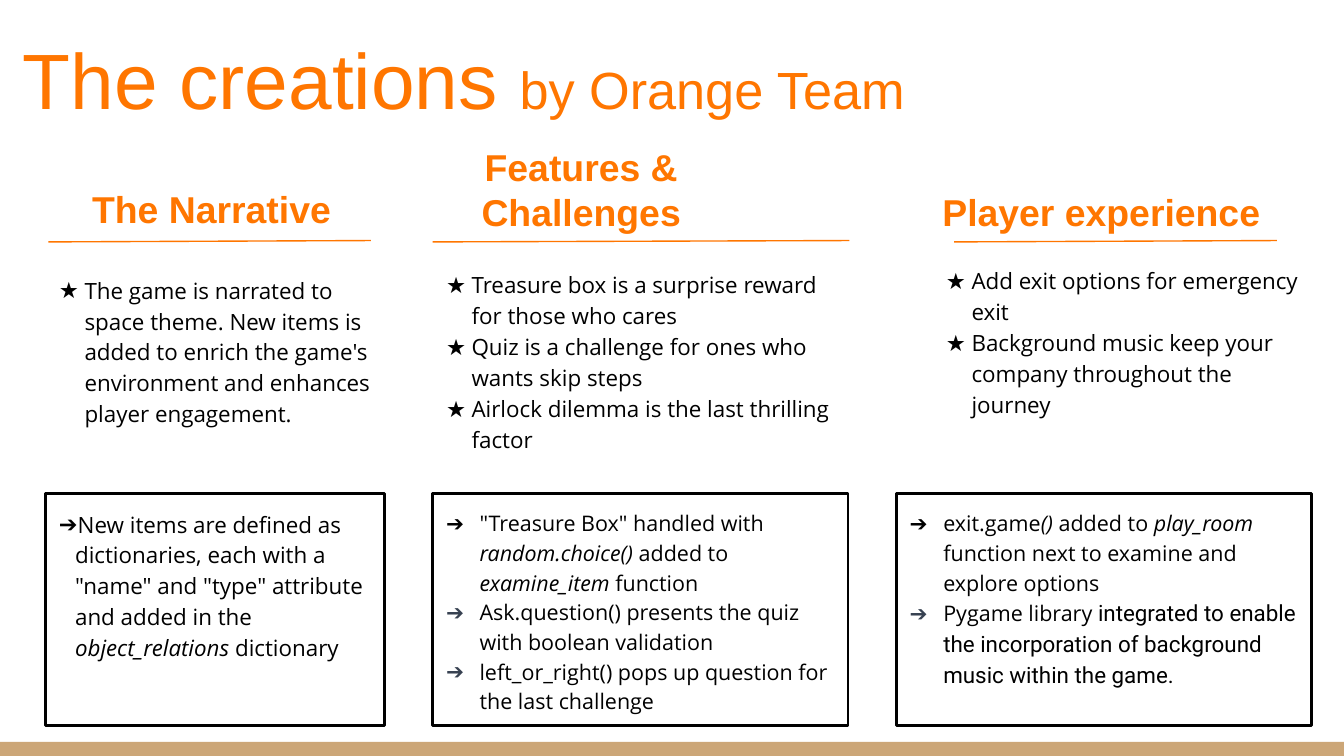
from lxml import etree
from pptx import Presentation
from pptx.dml.color import RGBColor
from pptx.enum import shapes, text
from pptx.oxml.ns import qn
from pptx.util import Inches, Pt

ORANGE = RGBColor(0xFF, 0x76, 0x00)
BLACK = RGBColor(0, 0, 0)
WHITE = RGBColor(0xFF, 0xFF, 0xFF)
SLATE = RGBColor(0x37, 0x41, 0x51)
TAN = RGBColor(0xCC, 0xA6, 0x77)
STAR, ARROW = "★", "➔"
IT = {"italic": True}


def add_run(para, words, size=12, font="Open Sans", color=BLACK,
            bold=False, italic=False):
    run = para.add_run()
    run.text = words
    style = run.font
    style.size, style.name = Pt(size), font
    style.bold, style.italic = bold, italic
    style.color.rgb = color


def set_frame(frame, anchor):
    frame.word_wrap = True
    frame.auto_size = text.MSO_AUTO_SIZE.NONE
    frame.vertical_anchor = anchor
    frame.margin_left = frame.margin_right = Inches(0.1)
    frame.margin_top = frame.margin_bottom = Inches(0.1)


def place(shape, box):
    shape.left, shape.top, shape.width, shape.height = map(Inches, box)


def add_title(slide):
    title = slide.shapes.title
    place(title, (0.07, 0.12, 9.32, 0.91))
    set_frame(title.text_frame, text.MSO_ANCHOR.BOTTOM)
    para = title.text_frame.paragraphs[0]
    para.alignment = text.PP_ALIGN.LEFT
    for words, size in (("The creations ", 42), ("by Orange Team", 28)):
        add_run(para, words, size=size, font="Arial", color=ORANGE)


def add_head(slide, words, box):
    head = slide.shapes.add_textbox(*map(Inches, box))
    set_frame(head.text_frame, text.MSO_ANCHOR.BOTTOM)
    para = head.text_frame.paragraphs[0]
    para.alignment = text.PP_ALIGN.CENTER
    add_run(para, words, size=20, font="Arial", color=ORANGE, bold=True)


def add_rule(slide, left, right):
    rule = slide.shapes.add_connector(
        shapes.MSO_CONNECTOR.STRAIGHT,
        Inches(left), Inches(1.8), Inches(right), Inches(1.79))
    rule.line.color.rgb = ORANGE
    rule.line.width = Pt(0.75)
    etree.SubElement(rule._element.spPr, qn("a:effectLst"))


def add_rect(slide, box, fill=None, line=None):
    rect = slide.shapes.add_shape(shapes.MSO_SHAPE.RECTANGLE,
                                  *map(Inches, box))
    rect.shadow.inherit = False
    if fill is None:
        rect.fill.background()
    else:
        rect.fill.solid()
        rect.fill.fore_color.rgb = fill
    if line is None:
        rect.line.fill.background()
    else:
        rect.line.color.rgb = line
        rect.line.width = Pt(1.5)
    return rect


def set_bullet(para, mark, color, margin, indent):
    props = para._p.get_or_add_pPr()
    props.set("marL", str(Inches(margin)))
    props.set("indent", str(Inches(indent)))
    tint = etree.SubElement(props, qn("a:buClr"))
    etree.SubElement(tint, qn("a:srgbClr"), val=str(color))
    etree.SubElement(props, qn("a:buFont"), typeface="Open Sans")
    etree.SubElement(props, qn("a:buChar"), char=mark)


def add_list(slide, box, items, mark, inset, line, size=12, later=BLACK):
    """Add a bulleted box; bullets after the first take the colour later."""
    frame = add_rect(slide, box, line=line).text_frame
    set_frame(frame, text.MSO_ANCHOR.TOP)
    for num, runs in enumerate(items):
        para = frame.add_paragraph() if num else frame.paragraphs[0]
        para.alignment = text.PP_ALIGN.LEFT
        para.line_spacing = 1.15
        set_bullet(para, mark, later if num else BLACK, *inset)
        for words, style in runs:
            add_run(para, words, **{"size": size, **style})


def add_stars(slide, box, items, indent=-0.21):
    runs = [[(words, {})] for words in items]
    add_list(slide, box, runs, STAR, (0.19, indent), WHITE)


def add_notes(slide, left, width, items, inset=(0.25, -0.27), size=11.5):
    add_list(slide, (left, 3.67, width, 1.73), items, ARROW, inset, BLACK,
             size, SLATE)


def main():
    deck = Presentation()
    deck.slide_width = Inches(10)
    deck.slide_height = deck.slide_width * 9 // 16
    slide = deck.slides.add_slide(deck.slide_layouts[5])

    add_rect(slide, (0, 5.52, 10, 0.11), fill=TAN)
    add_title(slide)
    add_head(slide, "The Narrative", (0.36, 1.27, 2.43, 0.55))
    add_head(slide, "Features & Challenges", (2.78, 1.24, 3.09, 0.6))
    add_head(slide, "Player experience", (6.65, 1.24, 3.09, 0.6))
    for left, right in ((0.36, 2.76), (3.22, 6.32), (7.1, 9.5)):
        add_rule(slide, left, right)

    add_stars(slide, (0.34, 1.93, 2.52, 1.24), [
        "The game is narrated to space theme. New items is added to enrich "
        "the game's environment and enhances player engagement."], -0.27)
    add_stars(slide, (3.22, 1.89, 3.21, 1.24), [
        "Treasure box is a surprise reward for those who cares",
        "Quiz is a challenge for ones who wants skip steps",
        "Airlock dilemma is the last thrilling factor"])
    add_stars(slide, (6.94, 1.86, 2.92, 1.46), [
        "Add exit options for emergency exit",
        "Background music keep your company throughout the journey"])

    add_notes(slide, 0.34, 2.52, [
        [('New items are defined as dictionaries, each with a "name" and '
          '"type" attribute and added in the ', {}),
         ("object_relations", IT), (" dictionary", {})]],
        (0.12, -0.15), 12)
    add_notes(slide, 3.22, 3.09, [
        [('"Treasure Box" handled with ', {}), ("random.choice() ", IT),
         ("added to ", {}), ("examine_item ", IT), ("function", {})],
        [("Ask.question() presents the quiz with boolean validation", {})],
        [("left_or_right() pops up question for the last challenge", {})]])
    add_notes(slide, 6.67, 3.09, [
        [("exit.game", {}), ("() ", IT), ("added to ", {}),
         ("play_room ", IT),
         ("function next to examine and explore options", {})],
        [("Pygame library ", {}),
         ("integrated to enable the incorporation of background music "
          "within the game.", {"size": 12, "font": "Roboto"})]])
    deck.save("out.pptx")


if __name__ == "__main__":
    main()
